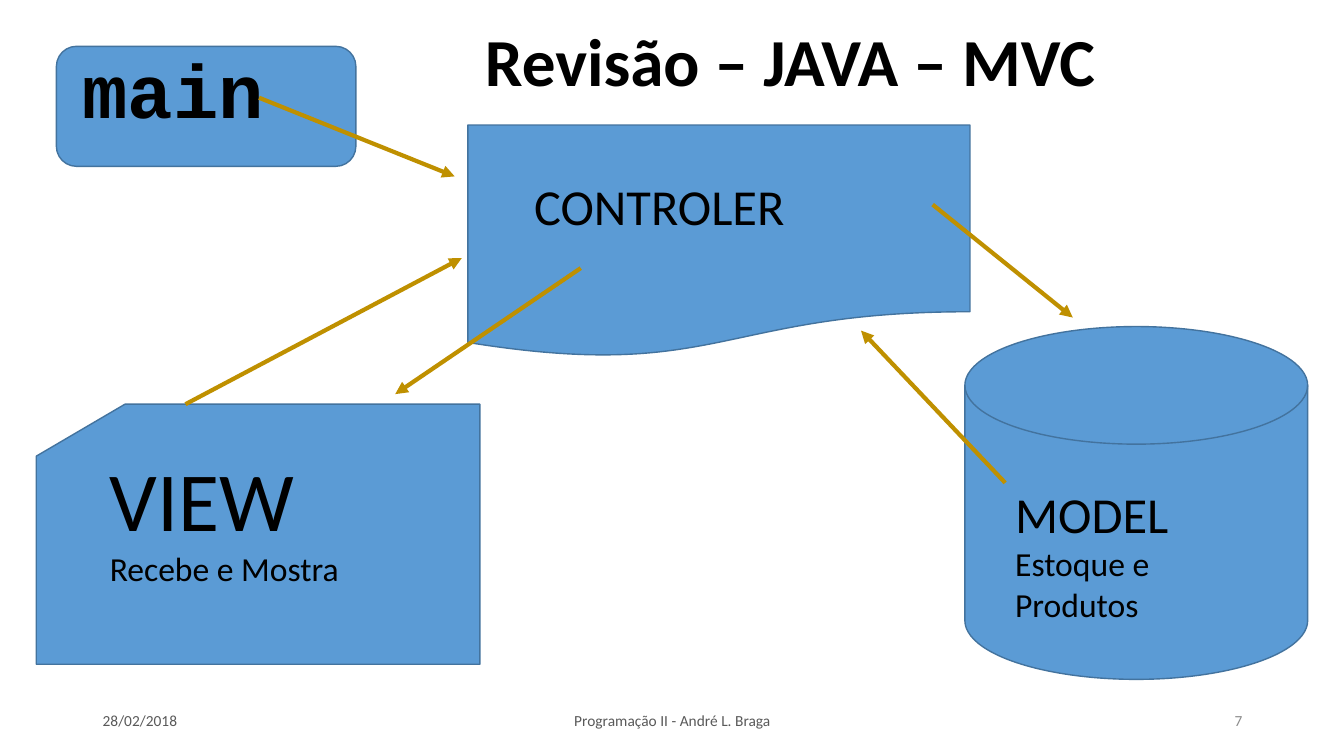
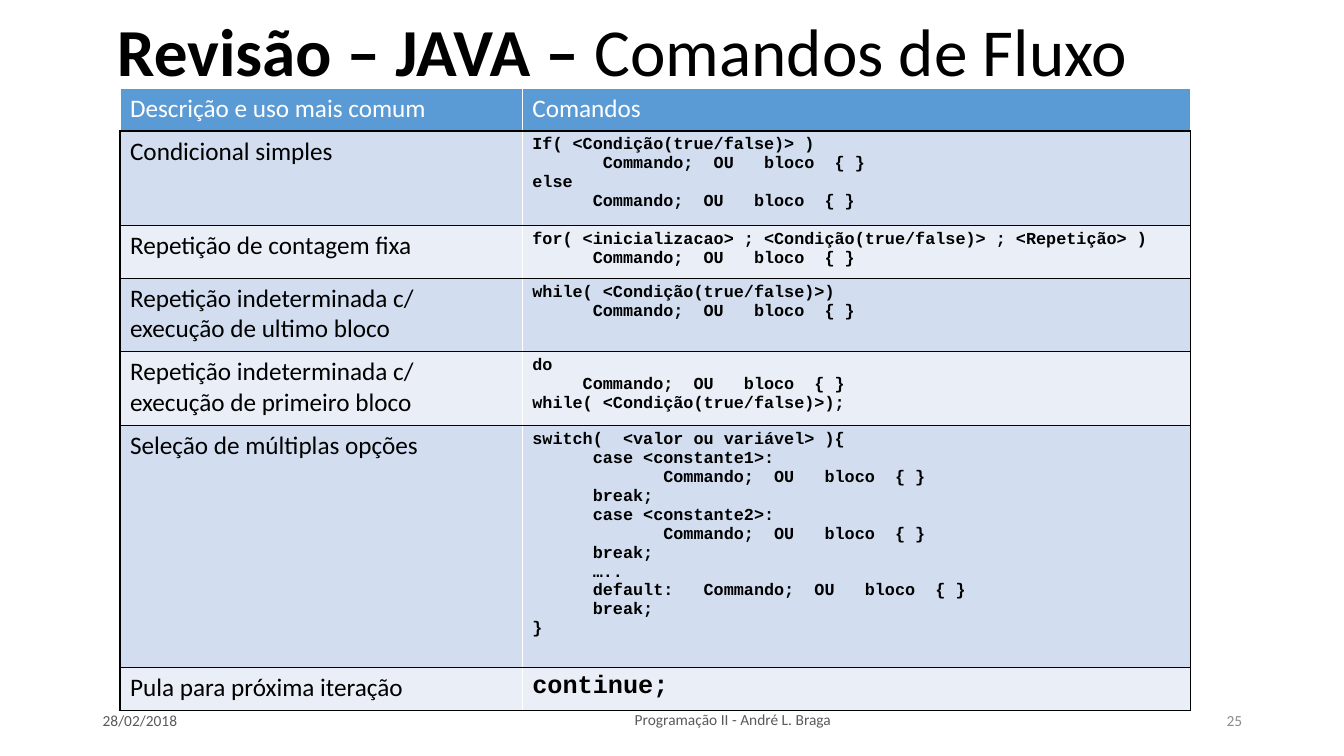
from lxml import etree
from pptx import Presentation
from pptx.dml.color import RGBColor
from pptx.enum.shapes import MSO_CONNECTOR, MSO_SHAPE
from pptx.enum.text import MSO_ANCHOR, MSO_AUTO_SIZE, PP_ALIGN
from pptx.oxml.ns import qn
from pptx.util import Inches, Pt

DISK = MSO_SHAPE.FLOWCHART_MAGNETIC_DISK
CARD = MSO_SHAPE.FLOWCHART_CARD
DOCUMENT = MSO_SHAPE.FLOWCHART_DOCUMENT
ROUNDED = MSO_SHAPE.FLOWCHART_ALTERNATE_PROCESS
STRAIGHT = MSO_CONNECTOR.STRAIGHT
LEFT, CENTER, RIGHT = PP_ALIGN.LEFT, PP_ALIGN.CENTER, PP_ALIGN.RIGHT
TOP, MIDDLE = MSO_ANCHOR.TOP, MSO_ANCHOR.MIDDLE
NO_AUTOFIT = MSO_AUTO_SIZE.NONE

BODY_FONT, CODE_FONT = "Calibri", "Courier New"
BLACK, WHITE = "000000", "FFFFFF"
BLUE, BLUE_EDGE, GOLD = "5B9BD5", "43739E", "BF9000"
BAND_FILLS = ("D2DEEF", "EAEFF7")
FOOTER_GRAY, NUMBER_GRAY = "595959", "8C8C8C"
TITLE_ONLY = 5

NODES = [
    (DISK, (9.57, 3.24, 3.4, 3.5), (0.4, 1.5, 2.46, 1.51),
     [("MODEL", {"size": 36}), ("Estoque e", {"size": 24}), ("Produtos", {"size": 24})]),
    (CARD, (0.36, 4.01, 4.4, 2.58), (0.63, 0.38, 3.52, 1.51),
     [("VIEW", {"size": 60}), ("Recebe e Mostra", {"size": 24})]),
    (DOCUMENT, (4.64, 1.24, 4.98, 2.31), (0.56, 0.45, 4.11, 0.71),
     [("CONTROLER", {"size": 36})]),
    (ROUNDED, (0.56, 0.46, 2.97, 1.19), (0.16, -0.08, 2.22, 1.01),
     [("main", {"size": 54, "font": CODE_FONT, "bold": True})]),
]

ARROWS = [
    ((2.57, 0.97), (4.51, 1.75)),
    ((1.84, 4.01), (4.58, 2.56)),
    ((9.25, 2.03), (10.64, 3.15)),
    ((9.97, 4.79), (8.54, 3.28)),
    ((5.76, 2.66), (3.92, 3.91)),
]

HEADINGS = ("Descrição e uso mais comum", "Comandos")
COMMANDS = [
    ("Condicional simples", 0.94, 12, """If( <Condição(true/false)> )
       Commando;  OU   bloco  { }
else
      Commando;  OU   bloco  { }"""),
    ("Repetição de contagem fixa", 0.52, 12,
     """for( <inicializacao> ; <Condição(true/false)> ; <Repetição> )
      Commando;  OU   bloco  { }"""),
    ("Repetição indeterminada c/ execução de ultimo bloco", 0.73, 12,
     """while( <Condição(true/false)>)
      Commando;  OU   bloco  { }"""),
    ("Repetição indeterminada c/ execução de primeiro bloco", 0.73, 12, """do
     Commando;  OU   bloco  { }
while( <Condição(true/false)>);"""),
    ("Seleção de múltiplas opções", 2.4, 12, """switch(  <valor ou variável> ){
      case <constante1>:
             Commando;  OU   bloco  { }
      break;
      case <constante2>:
             Commando;  OU   bloco  { }
      break;
      …..
      default:   Commando;  OU   bloco  { }
      break;
}"""),
    ("Pula para próxima iteração", 0.43, 18, "continue;"),
]


def rgb(value):
    """Turn a hex string into a colour."""
    return RGBColor.from_string(value)


def inches(box):
    """Turn plain numbers into lengths."""
    return [Inches(value) for value in box]


def add_span(para, text, size=18, font=BODY_FONT, color=BLACK, bold=False):
    """Append one formatted run to a paragraph."""
    span = para.add_run()
    span.text = text
    span.font.size = Pt(size)
    span.font.name = font
    span.font.bold = bold
    span.font.color.rgb = rgb(color)


def fill_lines(frame, lines, align=LEFT):
    """Write one paragraph for each pair of text and format."""
    for index, (text, style) in enumerate(lines):
        para = frame.add_paragraph() if index else frame.paragraphs[0]
        para.alignment = align
        add_span(para, text, **style)


def add_text(page, box, lines, align=LEFT, anchor=TOP):
    """Place a wrapped text box."""
    frame = page.shapes.add_textbox(*inches(box)).text_frame
    frame.word_wrap = True
    frame.vertical_anchor = anchor
    fill_lines(frame, lines, align)


def add_title(page, box, spans):
    """Move the title placeholder and write its runs."""
    title = page.shapes.title
    title.left, title.top, title.width, title.height = inches(box)
    frame = title.text_frame
    frame.auto_size = NO_AUTOFIT
    frame.vertical_anchor = MIDDLE
    para = frame.paragraphs[0]
    para.alignment = LEFT
    para.line_spacing = 0.9
    for text, bold in spans:
        add_span(para, text, size=48, bold=bold)


def add_footer(page, number, center_box):
    """Place the date, the course name and the page number."""
    parts = [
        ((0.92, 6.95, 3, 0.4), "28/02/2018", FOOTER_GRAY, LEFT),
        (center_box, "Programação II - André L. Braga", FOOTER_GRAY, CENTER),
        ((9.42, 6.95, 3, 0.4), number, NUMBER_GRAY, RIGHT),
    ]
    for box, text, color, align in parts:
        add_text(page, box, [(text, {"size": 11, "color": color})], align, MIDDLE)


def add_node(page, kind, box, label_box, lines):
    """Draw a flowchart shape with a label placed relative to it."""
    shape = page.shapes.add_shape(kind, *inches(box))
    shape.shadow.inherit = False
    shape.fill.solid()
    shape.fill.fore_color.rgb = rgb(BLUE)
    shape.line.color.rgb = rgb(BLUE_EDGE)
    shape.line.width = Pt(1)
    left, top, width, height = label_box
    add_text(page, (box[0] + left, box[1] + top, width, height), lines)


def add_arrow(page, start, end):
    """Draw a gold arrow between two points."""
    arrow = page.shapes.add_connector(STRAIGHT, *inches(start + end))
    arrow.line.color.rgb = rgb(GOLD)
    arrow.line.width = Pt(3)
    outline = arrow.line._get_or_add_ln()
    etree.SubElement(outline, qn("a:tailEnd"), type="triangle")
    etree.SubElement(arrow._element.spPr, qn("a:effectLst"))


def style_cell(cell, fill, borders):
    """Set the left, right, top and bottom borders, then the fill."""
    properties = cell._tc.get_or_add_tcPr()
    for side, color in zip("LRTB", borders):
        edge = etree.SubElement(properties, qn(f"a:ln{side}"), w=str(Pt(1)))
        solid = etree.SubElement(edge, qn("a:solidFill"))
        etree.SubElement(solid, qn("a:srgbClr"), val=color)
    cell.fill.solid()
    cell.fill.fore_color.rgb = rgb(fill)


def add_command_table(page, box):
    """Build the table of flow commands."""
    table = page.shapes.add_table(len(COMMANDS) + 1, 2, *inches(box)).table
    for column, width in zip(table.columns, (3.99, box[2] - 3.99)):
        column.width = Inches(width)
    heights = [0.42] + [height for _, height, _, _ in COMMANDS]
    for row, height in zip(table.rows, heights):
        row.height = Inches(height)
    for column, heading in enumerate(HEADINGS):
        cell = table.cell(0, column)
        style_cell(cell, BLUE, (WHITE, WHITE, WHITE, BLACK))
        fill_lines(cell.text_frame, [(heading, {"color": WHITE})])
    for index, (description, _, size, code) in enumerate(COMMANDS):
        fill = BAND_FILLS[index % 2]
        name_cell, code_cell = table.cell(index + 1, 0), table.cell(index + 1, 1)
        style_cell(name_cell, fill, (BLACK, WHITE, BLACK, BLACK))
        style_cell(code_cell, fill, (WHITE, BLACK, BLACK, BLACK))
        fill_lines(name_cell.text_frame, [(description, {})])
        code_style = {"size": size, "font": CODE_FONT, "bold": True}
        fill_lines(code_cell.text_frame, [(line, code_style) for line in code.split("\n")])


def build_mvc_page(deck):
    """Build the diagram of the MVC parts."""
    page = deck.slides.add_slide(deck.slide_layouts[TITLE_ONLY])
    add_title(page, (4.71, 0.13, 7.41, 1.02), [("Revisão – JAVA – MVC", True)])
    for node in NODES:
        add_node(page, *node)
    for start, end in ARROWS:
        add_arrow(page, start, end)
    add_footer(page, "7", (4.42, 6.95, 4.5, 0.4))


def build_commands_page(deck):
    """Build the page of flow commands."""
    page = deck.slides.add_slide(deck.slide_layouts[TITLE_ONLY])
    add_title(page, (1.06, -0.02, 11.89, 1.12),
              [("Revisão – JAVA – ", True), ("Comandos de Fluxo", False)])
    add_command_table(page, (1.19, 0.88, 10.62, 6.17))
    add_footer(page, "25", (3.62, 6.94, 7.3, 0.4))


def main():
    """Build and save the deck."""
    deck = Presentation()
    deck.slide_width, deck.slide_height = Inches(13.33), Inches(7.5)
    build_mvc_page(deck)
    build_commands_page(deck)
    deck.save("out.pptx")


if __name__ == "__main__":
    main()
